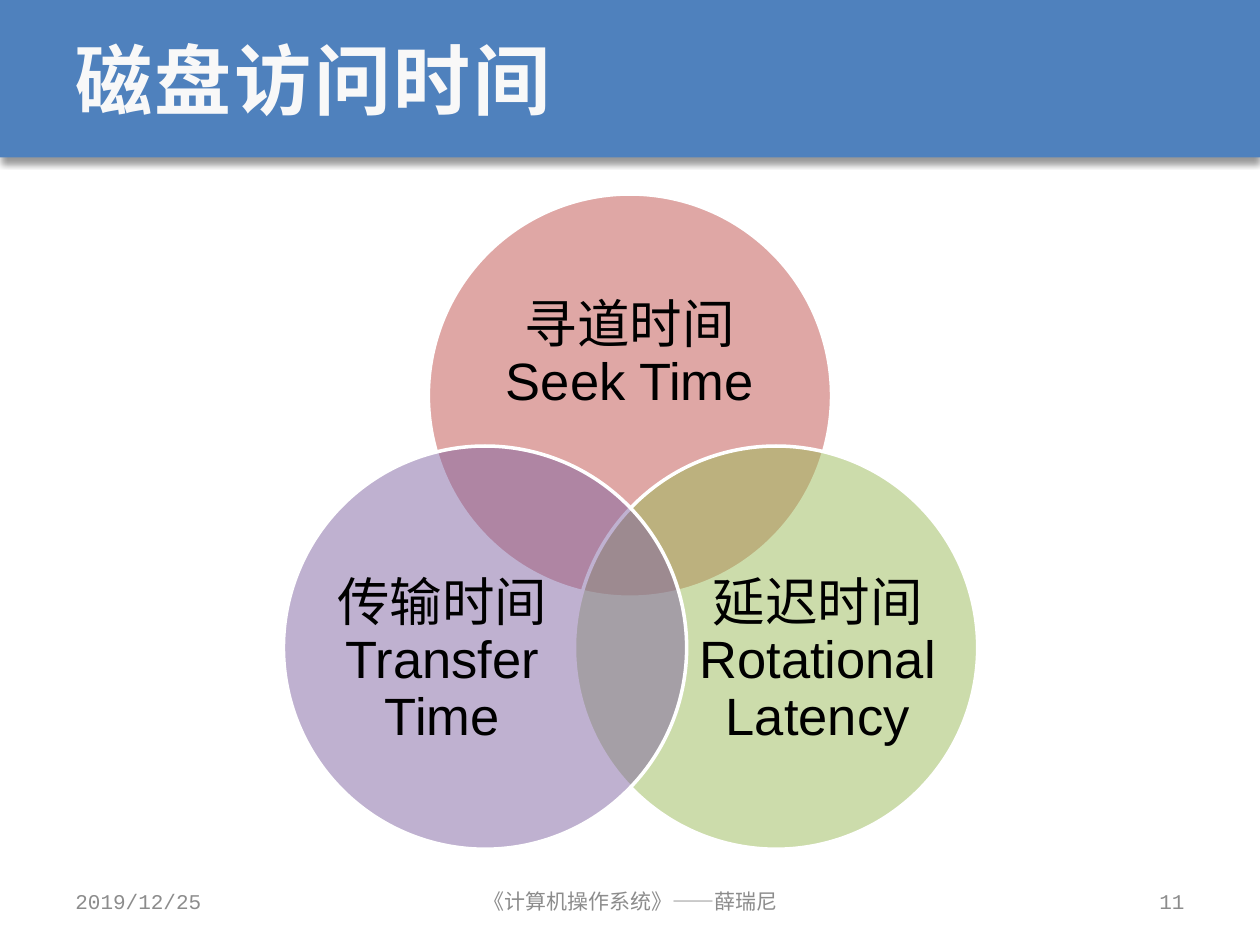
from lxml import etree
from pptx import Presentation
from pptx.dml.color import RGBColor
from pptx.enum.shapes import MSO_SHAPE
from pptx.enum.text import MSO_ANCHOR, PP_ALIGN
from pptx.oxml import parse_xml
from pptx.oxml.ns import qn
from pptx.util import Inches, Pt

RECTANGLE, ELLIPSE = MSO_SHAPE.RECTANGLE, MSO_SHAPE.OVAL
LEFT, CENTER, RIGHT = PP_ALIGN.LEFT, PP_ALIGN.CENTER, PP_ALIGN.RIGHT
MIDDLE = MSO_ANCHOR.MIDDLE
DRAWING = "http://schemas.openxmlformats.org/drawingml/2006/main"
MONO, SANS = "Courier New", "Arial"
DIAMETER = 3.2


def color(value):
    """Turn a hex string into a colour."""
    return RGBColor.from_string(value)


class SlideBuilder:
    """Hold the style and the current slide."""

    title = {"name": MONO, "size": Pt(44), "bold": True}
    label = {"name": SANS, "size": Pt(30)}
    footer = {"name": MONO, "size": Pt(12)}

    def __init__(self, slide):
        """Start drawing on the slide."""
        self.slide = slide
        self.shapes = slide.shapes

    def group(self):
        """Put the following elements into a new group."""
        self.shapes = self.slide.shapes.add_group_shape().shapes

    def ungroup(self):
        """Put the following elements directly on the slide."""
        self.shapes = self.slide.shapes

    def banner(self, box, fill):
        """Add a filled bar with a soft shadow below it."""
        shape = self.shapes.add_shape(RECTANGLE, *map(Inches, box))
        shape.fill.solid()
        shape.fill.fore_color.rgb = color(fill)
        shape.line.fill.background()
        shape._element.spPr.append(parse_xml(
            f'<a:effectLst xmlns:a="{DRAWING}">'
            f'<a:outerShdw blurRad="{Pt(4)}" dist="{Pt(3)}" dir="5400000" rotWithShape="0">'
            '<a:srgbClr val="000000"><a:alpha val="40000"/></a:srgbClr>'
            '</a:outerShdw></a:effectLst>'))

    def circle(self, left, top, fill):
        """Add a half-transparent circle with a white outline."""
        shape = self.shapes.add_shape(
            ELLIPSE, *map(Inches, (left, top, DIAMETER, DIAMETER)))
        shape.shadow.inherit = False
        shape.fill.solid()
        shape.fill.fore_color.rgb = color(fill)
        solid = shape._element.spPr.find(qn("a:solidFill"))
        etree.SubElement(solid[0], qn("a:alpha"), val="50000")
        shape.line.color.rgb = color("FFFFFF")
        shape.line.width = Pt(2)

    def text(self, box, words, style, ink, align=LEFT, frame_format=None,
             line_spacing=None, tracking=None):
        """Add a text box centred vertically."""
        frame = self.shapes.add_textbox(*map(Inches, box)).text_frame
        settings = {"word_wrap": True, "vertical_anchor": MIDDLE, **(frame_format or {})}
        for name, value in settings.items():
            setattr(frame, name, value)
        paragraph = frame.paragraphs[0]
        paragraph.text = words
        paragraph.alignment = align
        paragraph.line_spacing = line_spacing
        for run in paragraph.runs:
            for name, value in style.items():
                setattr(run.font, name, value)
            run.font.color.rgb = color(ink)
            if tracking:
                run._r.get_or_add_rPr().set("spc", str(round(tracking * 100)))


def main():
    """Build and save the slide."""
    presentation = Presentation()
    presentation.slide_width, presentation.slide_height = Inches(10), Inches(7.5)
    builder = SlideBuilder(presentation.slides.add_slide(presentation.slide_layouts[6]))

    builder.banner((0, 0, 10, 1.25), "4F81BD")
    builder.text((0.5, 0, 9, 1.25), "磁盘访问时间", builder.title, "F8F8F8", tracking=1.5)

    no_margins = dict.fromkeys(
        ("margin_left", "margin_top", "margin_right", "margin_bottom"), 0)
    circles = [
        (3.4, 1.54, "C0504D", (3.83, 2.1, 2.34, 1.44), "寻道时间\vSeek Time"),
        (4.56, 3.54, "9BBB59", (5.53, 4.37, 1.92, 1.76), "延迟时间\vRotational Latency"),
        (2.25, 3.54, "8064A2", (2.55, 4.37, 1.92, 1.76), "传输时间\vTransfer Time"),
    ]
    builder.group()
    for left, top, fill, label_box, words in circles:
        builder.circle(left, top, fill)
        builder.text(label_box, words, builder.label, "000000", CENTER, no_margins, 0.9)
    builder.ungroup()

    footers = [
        (0.5, 2.33, "2019/12/25", LEFT),
        (3.42, 3.17, "《计算机操作系统》——薛瑞尼", CENTER),
        (7.17, 2.33, "11", RIGHT),
    ]
    for left, width, words, align in footers:
        builder.text((left, 6.95, width, 0.4), words, builder.footer, "8C8C8C", align)

    presentation.save("out.pptx")


if __name__ == "__main__":
    main()
